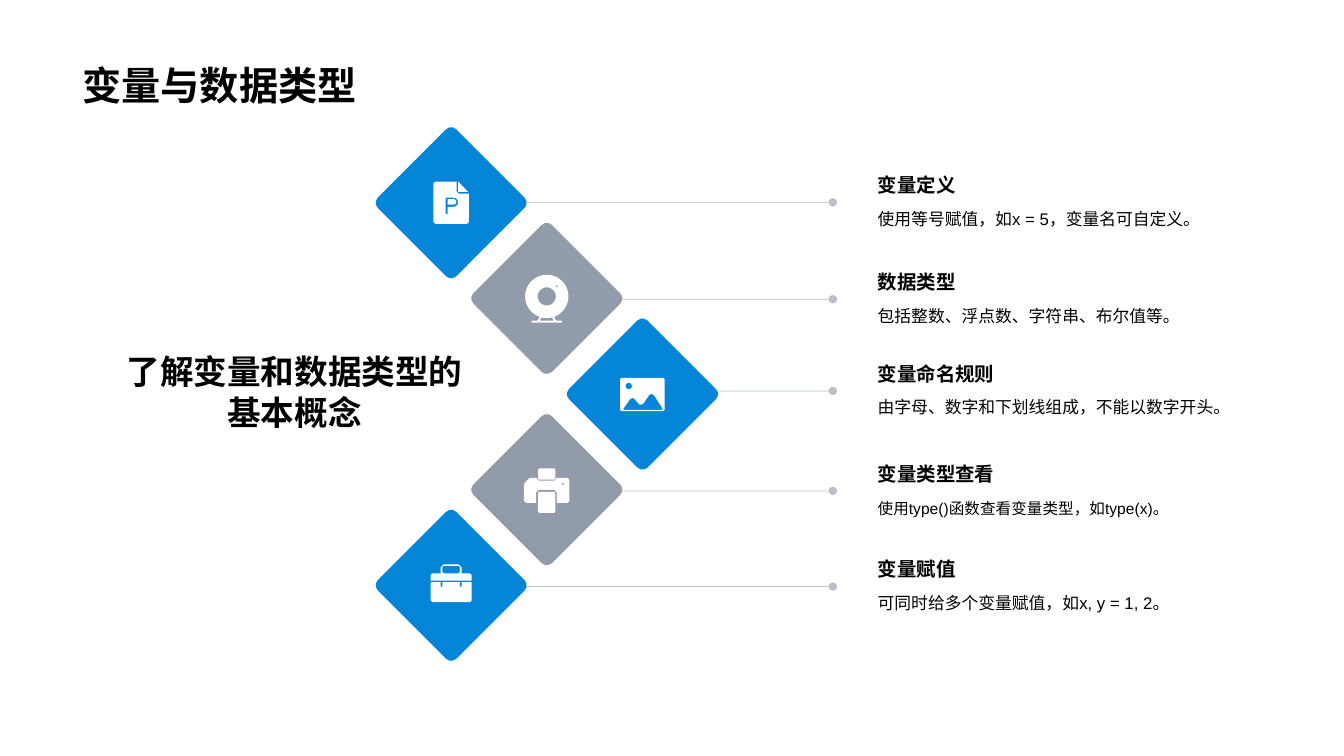
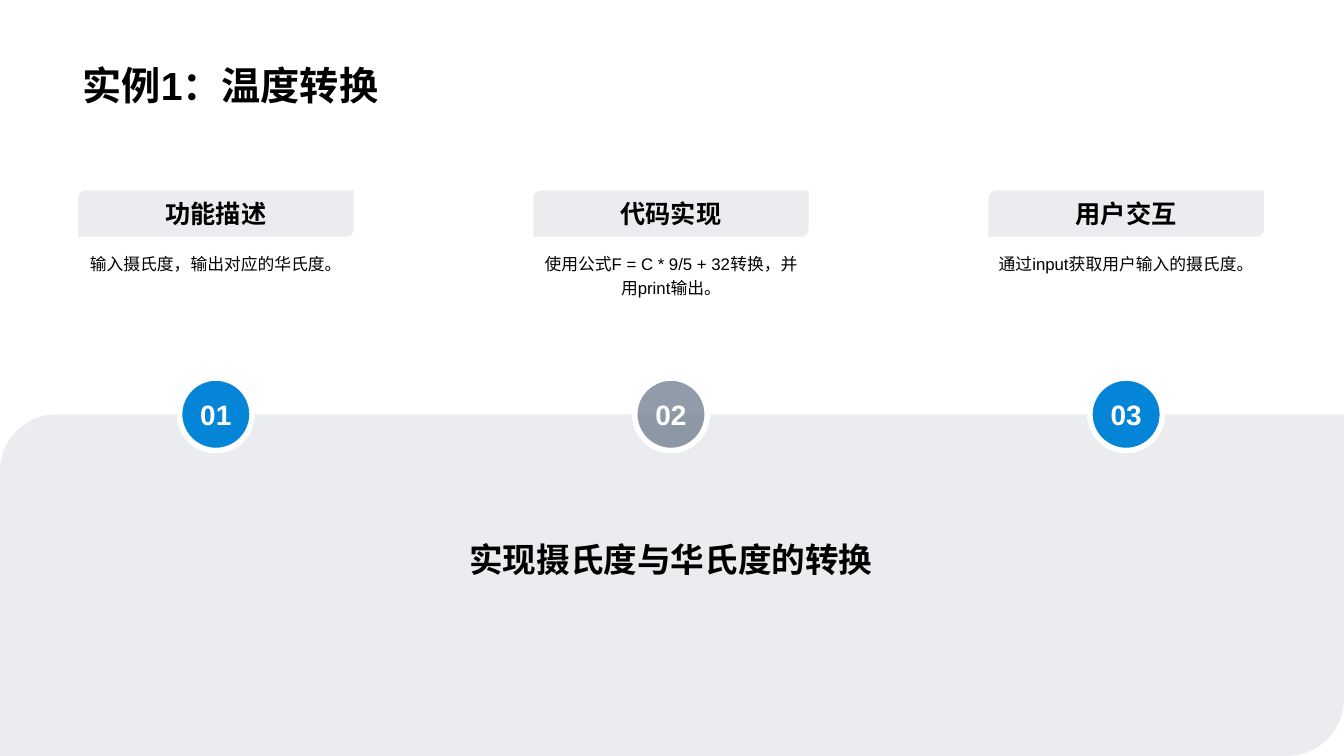
from math import cos, radians, sin

from lxml.etree import SubElement
from pptx import Presentation
from pptx.dml.color import RGBColor
from pptx.enum.lang import MSO_LANGUAGE_ID
from pptx.enum.shapes import MSO_CONNECTOR, MSO_SHAPE
from pptx.enum.text import MSO_ANCHOR, PP_ALIGN
from pptx.oxml.ns import qn
from pptx.util import Cm, Pt

CHINESE = MSO_LANGUAGE_ID.SIMPLIFIED_CHINESE
STRAIGHT = MSO_CONNECTOR.STRAIGHT
OVAL = MSO_SHAPE.OVAL
ROUNDED = MSO_SHAPE.ROUNDED_RECTANGLE
LEAF = MSO_SHAPE.ROUND_2_DIAG_RECTANGLE
TOP, MIDDLE, BOTTOM = MSO_ANCHOR.TOP, MSO_ANCHOR.MIDDLE, MSO_ANCHOR.BOTTOM
LEFT, CENTER = PP_ALIGN.LEFT, PP_ALIGN.CENTER

COLORS = {"blue": "0585D7", "gray": "768394", "white": "FFFFFF", "black": "000000"}
FONT = "Arial"
SLIDE_WIDTH, SLIDE_HEIGHT = 33.87, 19.05
GRAY_OPACITY, PALE_OPACITY, LINE_OPACITY = 80, 15, 50

# Diamond chain on the first slide, in cm
DIAMOND_SIDE = 2.8
CHAIN_X, CHAIN_Y, CHAIN_STEP = 11.37, 5.11, 2.41
LINE_INSET, LINE_END = 1.83, 20.99
LABEL_X, LABEL_WIDTH = 21.87, 10.13

# Columns on the second slide, in cm
COLUMN_X, COLUMN_PITCH = 5.44, 11.47
BAND_TOP = 10.44
BADGE_SIZE = 1.83

# Column shift, label top, heading, body, body size, body line spacing
TOPICS = [
    (0, 4.29, "变量定义", "使用等号赋值，如x = 5，变量名可自定义。", 12, 1.1),
    (1, 6.73, "数据类型", "包括整数、浮点数、字符串、布尔值等。", 12, 1.1),
    (2, 9.04, "变量命名规则", "由字母、数字和下划线组成，不能以数字开头。", 12, 1.1),
    (1, 11.56, "变量类型查看", "使用type()函数查看变量类型，如type(x)。", 11.1, 1.2),
    (0, 13.97, "变量赋值", "可同时给多个变量赋值，如x, y = 1, 2。", 12, 1.1),
]
STEPS = [
    ("功能描述", "输入摄氏度，输出对应的华氏度。"),
    ("代码实现", "使用公式F = C * 9/5 + 32转换，并用print输出。"),
    ("用户交互", "通过input获取用户输入的摄氏度。"),
]


def rgb(color):
    return RGBColor.from_string(COLORS[color])


def set_opacity(shape, percent):
    """Make the first colour of the shape (its fill, or a connector's line) translucent."""
    color = next(shape.element.spPr.iter(qn("a:srgbClr")))
    SubElement(color, qn("a:alpha"), val=str(percent * 1000))


def paint(shape, color, opacity=100):
    shape.shadow.inherit = False
    shape.fill.solid()
    shape.fill.fore_color.rgb = rgb(color)
    shape.line.fill.background()
    if opacity < 100:
        set_opacity(shape, opacity)


def write(shape, text, size, bold=False, color="black", align=LEFT, anchor=TOP,
          spacing=None, wrap=True):
    frame = shape.text_frame
    frame.text = text
    frame.word_wrap = wrap
    frame.vertical_anchor = anchor
    paragraph = frame.paragraphs[0]
    paragraph.alignment = align
    paragraph.line_spacing = spacing
    font = paragraph.runs[0].font
    font.name, font.size, font.bold = FONT, Pt(size), bold
    font.color.rgb = rgb(color)
    font.language_id = CHINESE


def add_text(slide, x, y, width, height, text, size, **style):
    box = slide.shapes.add_textbox(Cm(x), Cm(y), Cm(width), Cm(height))
    write(box, text, size, **style)


def add_block(slide, preset, x, y, width, height, color, opacity=100):
    block = slide.shapes.add_shape(preset, Cm(x), Cm(y), Cm(width), Cm(height))
    paint(block, color, opacity)
    return block


def add_titled_slide(deck, title):
    slide = deck.slides.add_slide(deck.slide_layouts[6])
    add_text(slide, 1.83, 0.36, 30.18, 2.49, title, 28, bold=True, anchor=BOTTOM)
    return slide


# Icon outlines use hundredths of a millimetre around the diamond's centre.
def arc(x, y, radius, start=0, end=360):
    return [(x + radius * cos(radians(a)), y + radius * sin(radians(a)))
            for a in range(start, end + 1, 10)]


def rounded_box(left, top, right, bottom, radius=45):
    return (arc(left + radius, top + radius, radius, 180, 270)
            + arc(right - radius, top + radius, radius, 270, 360)
            + arc(right - radius, bottom - radius, radius, 0, 90)
            + arc(left + radius, bottom - radius, radius, 90, 180))


def mirrored(half):
    """Complete an outline that is symmetric about the vertical axis."""
    return half + [(-x, y) for x, y in reversed(half)]


def document_icon():
    page = [(140, -535), (140, -280), (190, -230), (445, -230), (445, 490), (400, 535),
            (-400, 535), (-445, 490), (-445, -490), (-400, -535)]
    fold = [(175, -535), (430, -275), (175, -275)]
    letter = [(-140, -127), *arc(60, -13, 114, -90, 90), (-90, 101), (-90, 280), (-140, 280)]
    counter = [(-90, -90), *arc(60, -20, 70, -90, 90), (-90, 50)]
    return [page, fold, letter, counter]


def webcam_icon():
    leg = [(-180, 466), (-130, 482), (-180, 560), (-235, 560)]
    foot = [(-380, 560), (380, 560), (380, 610), (-380, 610)]
    return [arc(0, -50, 546), arc(0, -50, 229), arc(254, -305, 25),
            leg, [(-x, y) for x, y in leg], foot]


def landscape_icon():
    hills = [(-480, 370), (-310, 130), (-255, 95), (-200, 125), (-80, 260), (-30, 265),
             (20, 245), (175, 20), (230, 0), (285, 20), (505, 360), (500, 400), (-470, 400)]
    return [rounded_box(-560, -406, 560, 432), hills, arc(-343, -203, 80)]


def printer_icon():
    body = [(-270, -300), (-200, -230), (190, -230), (260, -300), (520, -300), (570, -250),
            (570, 290), (525, 330), (255, 330), (255, 70), (190, 5), (-200, 5), (-270, 70),
            (-270, 330), (-520, 330), (-575, 280), (-575, -110), (-555, -180),
            (-450, -280), (-400, -300)]
    return [body, rounded_box(-220, 55, 215, 585), rounded_box(-220, -535, 215, -255),
            arc(406, -150, 25)]


def briefcase_icon():
    lid = mirrored([(-515, -120), (-515, -260), (-470, -305), (-265, -305),
                    (-265, -450), (-190, -530)])
    case = mirrored([(-470, 425), (-515, 380), (-515, -80), (-265, -80),
                     (-265, 30), (-220, 30), (-220, -80)])
    return [lid, rounded_box(-220, -490, 220, -305), case]


ICONS = [document_icon, webcam_icon, landscape_icon, printer_icon, briefcase_icon]


def add_icon(slide, x, y, outlines):
    (first_x, first_y), *rest = outlines[0]
    builder = slide.shapes.build_freeform(first_x, first_y, scale=Cm(0.001))
    builder.add_line_segments(rest, close=True)
    for start, *others in outlines[1:]:
        builder.move_to(*start)
        builder.add_line_segments(others, close=True)
    paint(builder.convert_to_shape(Cm(x), Cm(y)), "white")


def add_leader(slide, x, y):
    """Draw a thin line from a diamond to its label, ending in a dot."""
    leader = slide.shapes.add_connector(STRAIGHT, Cm(x), Cm(y), Cm(LINE_END), Cm(y))
    leader.line.width = Pt(0.5)
    leader.line.color.rgb = rgb("gray")
    set_opacity(leader, LINE_OPACITY)
    SubElement(leader.line._get_or_add_ln(), qn("a:tailEnd"), type="oval")
    SubElement(leader.element.spPr, qn("a:effectLst"))


def accent(index):
    """Alternate solid blue with translucent gray."""
    return ("gray", GRAY_OPACITY) if index % 2 else ("blue", 100)


def add_topic(slide, index, topic):
    shift, top, heading, body, size, spacing = topic
    x, y = CHAIN_X + shift * CHAIN_STEP, CHAIN_Y + index * CHAIN_STEP
    add_leader(slide, x + LINE_INSET, top + 0.81)
    half = DIAMOND_SIDE / 2
    diamond = add_block(slide, ROUNDED, x - half, y - half, DIAMOND_SIDE, DIAMOND_SIDE,
                        *accent(index))
    diamond.adjustments[0] = 0.065
    diamond.rotation = 45
    add_icon(slide, x, y, ICONS[index]())
    add_text(slide, LABEL_X, top + 0.79, LABEL_WIDTH, 1.4, body, size, spacing=spacing)
    add_text(slide, LABEL_X, top, LABEL_WIDTH, 0.79, heading, 13.9, bold=True, anchor=BOTTOM)


def add_step(slide, index, heading, body):
    x = COLUMN_X + index * COLUMN_PITCH
    half = BADGE_SIZE / 2
    badge = add_block(slide, OVAL, x - half, BAND_TOP - half, BADGE_SIZE, BADGE_SIZE,
                      *accent(index))
    badge.line.color.rgb = rgb("white")
    badge.line.width = Pt(4)
    write(badge, f"{index + 1:02}", 20, bold=True, color="white", align=CENTER,
          anchor=MIDDLE, wrap=False)
    header = add_block(slide, LEAF, x - 3.47, 4.8, 6.94, 1.17, "gray", PALE_OPACITY)
    write(header, heading, 18, bold=True, align=CENTER, anchor=MIDDLE)
    add_text(slide, x - 3.61, 6.17, 7.22, 3.35, body, 12, align=CENTER, spacing=1.2)


def build_variables_slide(deck):
    slide = add_titled_slide(deck, "变量与数据类型")
    for index, topic in enumerate(TOPICS):
        add_topic(slide, index, topic)
    add_text(slide, 2.57, 8.66, 9.7, 2.41, "了解变量和数据类型的基本概念", 24, bold=True,
             align=CENTER, anchor=MIDDLE)


def build_temperature_slide(deck):
    slide = add_titled_slide(deck, "实例1：温度转换")
    add_block(slide, LEAF, 0, BAND_TOP, SLIDE_WIDTH, SLIDE_HEIGHT - BAND_TOP,
              "gray", PALE_OPACITY)
    add_text(slide, 1.85, 13.26, 30.12, 1.45, "实现摄氏度与华氏度的转换", 24, bold=True,
             align=CENTER, anchor=BOTTOM)
    for index, step in enumerate(STEPS):
        add_step(slide, index, *step)


def main():
    deck = Presentation()
    deck.slide_width, deck.slide_height = Cm(SLIDE_WIDTH), Cm(SLIDE_HEIGHT)
    build_variables_slide(deck)
    build_temperature_slide(deck)
    deck.save("out.pptx")


if __name__ == "__main__":
    main()
